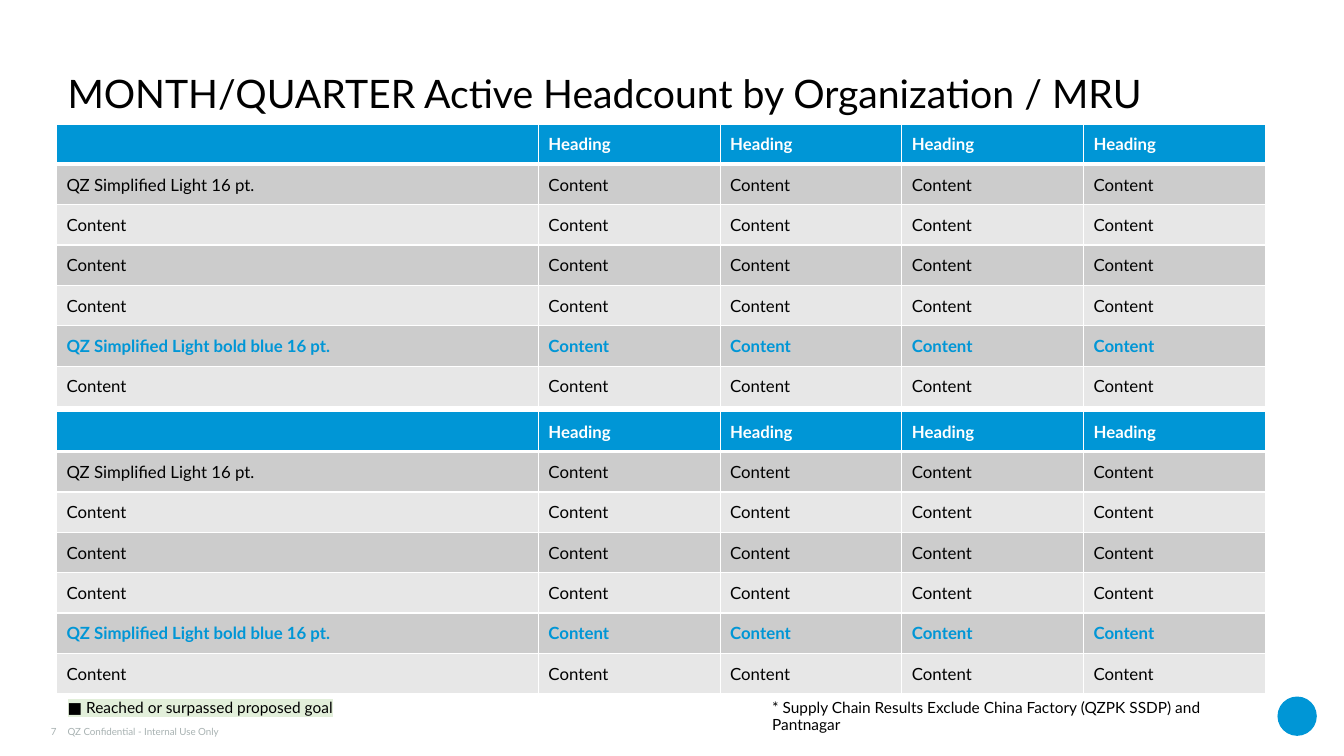
import pptx
import pptx.dml.color
import pptx.enum.shapes
import pptx.enum.text
import pptx.oxml
import pptx.oxml.ns
import pptx.util
import lxml.etree

Inches = pptx.util.Inches
Pt = pptx.util.Pt
Anchor = pptx.enum.text.MSO_ANCHOR
Align = pptx.enum.text.PP_ALIGN

FONT = "Lato"
BLUE, BLACK, WHITE, GRAY = "0096D6", "000000", "FFFFFF", "A8B2B2"
STRIPES = ["CCCCCC", "E7E7E7"]
GOAL_HIGHLIGHT = "E2EFDA"

ROW_LABELS = [
    "",
    "QZ Simplified Light 16 pt.",
    "Content",
    "Content",
    "Content",
    "QZ Simplified Light bold blue 16 pt.",
    "Content",
]
EMPHASIS_ROW = 5
VALUE_COLUMNS = 4
TABLE_LEFT, TABLE_WIDTH, LABEL_WIDTH = 0.56, 11.99, 4.78
TABLE_TOPS = [1.23, 4.08]
ROW_HEIGHT = 0.4

TEXTS = [
    dict(text="MONTH/QUARTER Active Headcount by Organization / MRU",
         at=(0.67, 0.33, 12, 0.83), size=28, anchor=Anchor.BOTTOM, spacing=0.9),
    dict(text="7", at=(0.23, 7.08, 0.33, 0.24), size=7, color=GRAY,
         anchor=Anchor.BOTTOM, align=Align.RIGHT, wrap=False),
    dict(text="QZ Confidential - Internal Use Only", at=(0.67, 7.08, 5, 0.24),
         size=7, color=GRAY, anchor=Anchor.BOTTOM, wrap=False),
    dict(text="* Supply Chain Results Exclude China Factory (QZPK SSDP) and Pantnagar",
         at=(7.56, 6.9, 5, 0.27), size=11, spacing=0.9, insets=(0.1, 0.05)),
    dict(text="■ Reached or surpassed proposed goal", at=(0.67, 6.95, 6.17, 0.17),
         size=11, spacing=0.9, highlight=GOAL_HIGHLIGHT),
]


def color_of(code):
    return pptx.dml.color.RGBColor.from_string(code)


def color_xml(tag, code):
    element = lxml.etree.Element(pptx.oxml.ns.qn(tag))
    lxml.etree.SubElement(element, pptx.oxml.ns.qn("a:srgbClr"), val=code)
    return element


def add_span(para, text, size, color, bold=False):
    span = para.add_run()
    span.text = text
    span.font.name = FONT
    span.font.size = Pt(size)
    span.font.bold = bold
    span.font.color.rgb = color_of(color)
    return span


def set_margins(holder, across, down):
    holder.margin_left = holder.margin_right = Inches(across)
    holder.margin_top = holder.margin_bottom = Inches(down)


def add_text(page, text, at, size, color=BLACK, anchor=Anchor.TOP, align=Align.LEFT,
             spacing=1.0, insets=(0, 0), wrap=True, highlight=None):
    box = page.shapes.add_textbox(*map(Inches, at))
    frame = box.text_frame
    frame.word_wrap = wrap
    frame.vertical_anchor = anchor
    set_margins(frame, *insets)
    para = frame.paragraphs[0]
    para.alignment = align
    para.line_spacing = spacing
    span = add_span(para, text, size, color)
    if highlight:
        fill = span.font._element.find(pptx.oxml.ns.qn("a:solidFill"))
        fill.addnext(color_xml("a:highlight", highlight))


def set_borders(cell, top, bottom):
    properties = cell._tc.get_or_add_tcPr()
    widths = {"a:lnL": 1, "a:lnR": 1, "a:lnT": top, "a:lnB": bottom}
    for place, (tag, width) in enumerate(widths.items()):
        line = lxml.etree.Element(pptx.oxml.ns.qn(tag), w=str(Pt(width)))
        line.append(color_xml("a:solidFill", WHITE))
        properties.insert(place, line)


def fill_cell(cell, row, column):
    header = row == 0
    text = ROW_LABELS[row] if column == 0 else "Heading" if header else "Content"
    color = WHITE if header else BLUE if row == EMPHASIS_ROW else BLACK
    cell.fill.solid()
    cell.fill.fore_color.rgb = color_of(BLUE if header else STRIPES[(row - 1) % 2])
    cell.vertical_anchor = Anchor.MIDDLE
    set_margins(cell, 0.1, 0.1)
    set_borders(cell, top=3 if row == 1 else 1, bottom=3 if header else 1)
    para = cell.text_frame.paragraphs[0]
    if text:
        add_span(para, text, 12, color, header or row == EMPHASIS_ROW)
    else:
        lxml.etree.SubElement(para._p, pptx.oxml.ns.qn("a:endParaRPr"), sz="1200")


def add_headcount_table(page, top):
    rows, columns = len(ROW_LABELS), VALUE_COLUMNS + 1
    table = page.shapes.add_table(
        rows, columns, Inches(TABLE_LEFT), Inches(top),
        Inches(TABLE_WIDTH), Inches(ROW_HEIGHT * rows)).table
    for column in range(columns):
        value_width = (TABLE_WIDTH - LABEL_WIDTH) / VALUE_COLUMNS
        table.columns[column].width = Inches(value_width if column else LABEL_WIDTH)
    for row in range(rows):
        table.rows[row].height = Inches(ROW_HEIGHT)
        for column in range(columns):
            fill_cell(table.cell(row, column), row, column)


def main():
    deck = pptx.Presentation()
    deck.slide_width, deck.slide_height = Inches(13.33), Inches(7.5)
    page = deck.slides.add_slide(deck.slide_layouts[6])
    badge = page.shapes.add_shape(
        pptx.enum.shapes.MSO_SHAPE.OVAL,
        Inches(12.67), Inches(6.91), Inches(0.39), Inches(0.39))
    badge.shadow.inherit = False
    badge.fill.solid()
    badge.fill.fore_color.rgb = color_of(BLUE)
    badge.line.fill.background()
    for text in TEXTS:
        add_text(page, **text)
    for top in TABLE_TOPS:
        add_headcount_table(page, top)
    deck.save("out.pptx")


if __name__ == "__main__":
    main()
